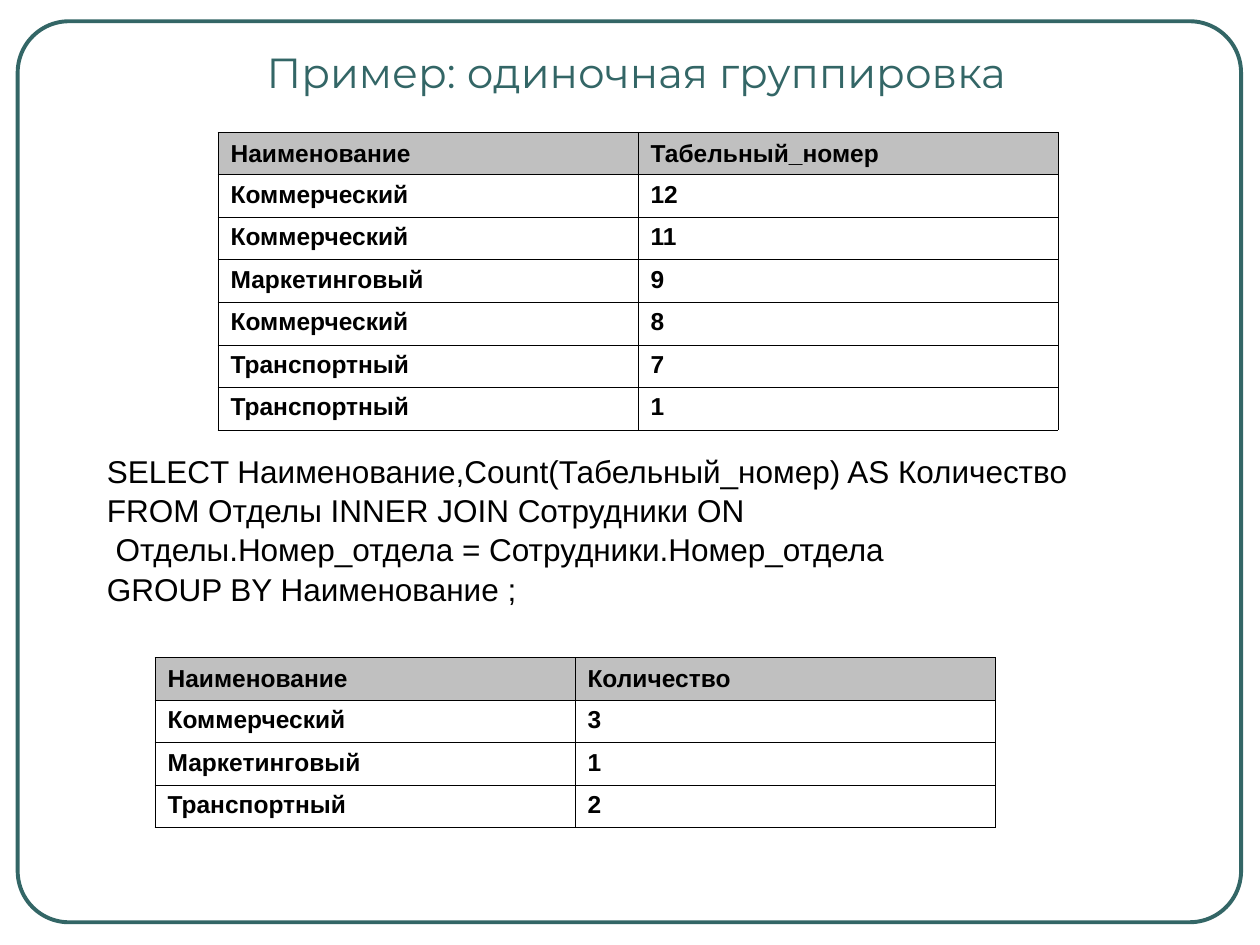
from lxml import etree
from pptx import Presentation, util as u
from pptx.dml.color import RGBColor
from pptx.enum import shapes, text
from pptx.oxml import parse_xml

TEAL = RGBColor(0x33, 0x66, 0x66)
BLACK = RGBColor(0, 0, 0)
GRAY = RGBColor(0xC0, 0xC0, 0xC0)
WHITE = RGBColor(0xFF, 0xFF, 0xFF)
NS = "http://schemas.openxmlformats.org/drawingml/2006/main"

deck = Presentation()
deck.slide_width, deck.slide_height = u.Inches(10), u.Inches(7.5)
wide, high = deck.slide_width, deck.slide_height
slide = deck.slides.add_slide(deck.slide_layouts[6])


def area(left, top, width, height):
    return int(left * wide), int(top * high), int(width * wide), int(height * high)


def style(frame, face, size, color, bold=False):
    for para in frame.paragraphs:
        for run in para.runs:
            run.font.name = face
            run.font.size = u.Pt(size)
            run.font.color.rgb = color
            run.font.bold = bold


border = slide.shapes.add_shape(
    shapes.MSO_SHAPE.ROUNDED_RECTANGLE, *area(0.014, 0.0225, 0.971, 0.9535))
border.adjustments[0] = 0.057
border.shadow.inherit = False
border.fill.background()
border.line.color.rgb = TEAL
border.line.width = u.Pt(2.25)

title = slide.shapes.add_textbox(*area(0.037, 0.0425, 0.936, 0.0975)).text_frame
title.word_wrap = True
title.text = "Пример: одиночная группировка"
title.paragraphs[0].alignment = text.PP_ALIGN.CENTER
style(title, "Montserrat", 24, TEAL)

query = slide.shapes.add_textbox(*area(0.075, 0.47, 0.883, 0.213)).text_frame
query.word_wrap = True
query.text = """SELECT Наименование,Count(Табельный_номер) AS Количество
FROM Отделы INNER JOIN Сотрудники ON
 Отделы.Номер_отдела = Сотрудники.Номер_отдела
GROUP BY Наименование ;"""
for para in query.paragraphs:
    para.line_spacing = 1.04
style(query, "Arial", 18, BLACK)

result = [
    ("Наименование", "Количество"),
    ("Коммерческий", "3"),
    ("Маркетинговый", "1"),
    ("Транспортный", "2"),
]
staff = [
    ("Наименование", "Табельный_номер"),
    ("Коммерческий", "12"),
    ("Коммерческий", "11"),
    ("Маркетинговый", "9"),
    ("Коммерческий", "8"),
    ("Транспортный", "7"),
    ("Транспортный", "1"),
]

for left, top, rows in ((0.123, 0.696, result), (0.173, 0.14, staff)):
    place = area(left, top, 2 / 3, 0.045 * len(rows))
    grid = slide.shapes.add_table(len(rows), 2, *place).table
    for r, row in enumerate(rows):
        grid.rows[r].height = int(0.045 * high)
        for c, word in enumerate(row):
            cell = grid.cell(r, c)
            cell.text = word
            style(cell.text_frame, "Arial", 14, BLACK, True)
            head = r == 0
            cell.vertical_anchor = (
                text.MSO_ANCHOR.MIDDLE if head else text.MSO_ANCHOR.TOP)
            props = cell._tc.get_or_add_tcPr()
            for side in "LRTB":
                props.append(parse_xml(
                    f'<a:ln{side} xmlns:a="{NS}" w="{u.Pt(0.45)}"><a:solidFill>'
                    f'<a:srgbClr val="{BLACK}"/></a:solidFill></a:ln{side}>'))
            cell.fill.solid()
            cell.fill.fore_color.rgb = GRAY if head else WHITE

deck.save("out.pptx")
